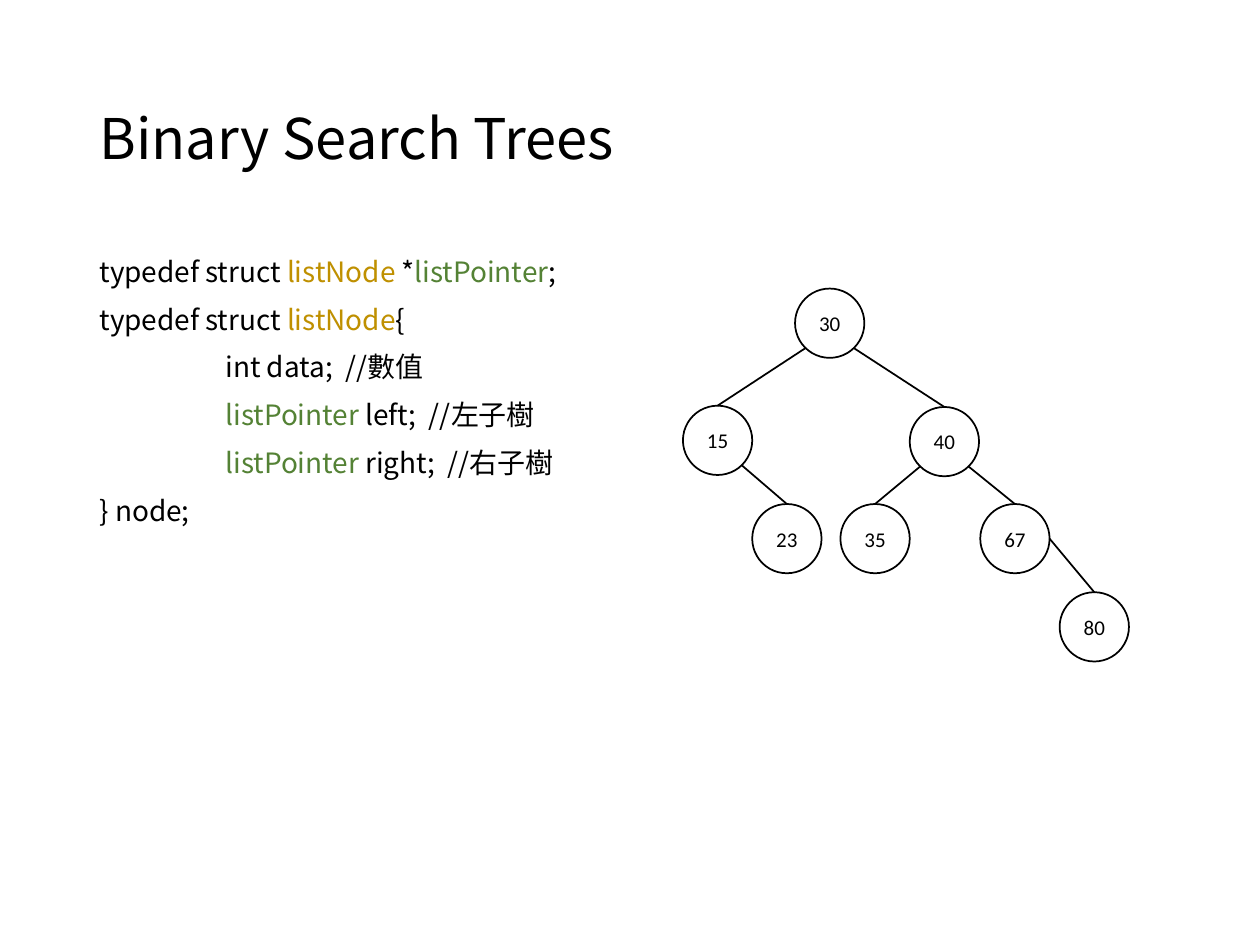
from lxml import etree
from pptx import Presentation
from pptx.dml.color import RGBColor
from pptx.enum.shapes import MSO_CONNECTOR, MSO_SHAPE
from pptx.enum.text import MSO_ANCHOR, MSO_AUTO_SIZE, PP_ALIGN
from pptx.oxml.ns import qn
from pptx.util import Inches, Pt

BLACK = RGBColor(0x00, 0x00, 0x00)
WHITE = RGBColor(0xFF, 0xFF, 0xFF)
GOLD = RGBColor(0xBF, 0x90, 0x00)
GREEN = RGBColor(0x54, 0x82, 0x35)
TEXT_FONT = "Noto Sans CJK SC"
NODE_FONT = "Calibri"

TYPE_COLORS = {"listNode": GOLD, "listPointer": GREEN}
CODE = [
    ["typedef struct ", "listNode", " *", "listPointer", ";"],
    ["typedef struct ", "listNode", "{"],
    ["\tint data;  //數值"],
    ["\t", "listPointer", " left;  //左子樹"],
    ["\t", "listPointer", " right;  //右子樹"],
    ["} node;"],
]

DIAMETER = 0.55
NODES = {
    "30": (0.89, 0),
    "40": (1.8, 0.94),
    "15": (0, 0.93),
    "23": (0.55, 1.71),
    "35": (1.25, 1.71),
    "67": (2.36, 1.71),
    "80": (2.99, 2.41),
}
LOWER_LEFT, LOWER_RIGHT, RIGHT = (0.15, 0.86), (0.85, 0.86), (1, 0.5)
TOP = (0.5, 0)
EDGES = [
    ("30", "15", LOWER_LEFT),
    ("15", "23", LOWER_RIGHT),
    ("40", "67", LOWER_RIGHT),
    ("40", "35", LOWER_LEFT),
    ("30", "40", LOWER_RIGHT),
    ("67", "80", RIGHT),
]


def place(shape, left, top, width, height):
    shape.left, shape.top = Inches(left), Inches(top)
    shape.width, shape.height = Inches(width), Inches(height)


def style_run(run, size, font, color):
    run.font.size = Pt(size)
    run.font.name = font
    run.font.color.rgb = color
    east_asian = etree.SubElement(run.font._element, qn("a:ea"))
    east_asian.set("typeface", font)


def fill_title(title, box):
    place(title, *box)
    frame = title.text_frame
    frame.text = "Binary Search Trees"
    frame.auto_size = MSO_AUTO_SIZE.NONE
    frame.vertical_anchor = MSO_ANCHOR.MIDDLE
    heading = frame.paragraphs[0]
    heading.alignment = PP_ALIGN.LEFT
    heading.line_spacing = 0.9
    style_run(heading.runs[0], 32, TEXT_FONT, BLACK)


def format_code_line(line, is_first):
    properties = line._p.get_or_add_pPr()
    properties.set("marL", "0")
    properties.set("indent", "0")
    properties.set("defTabSz", str(Inches(1)))
    etree.SubElement(properties, qn("a:buNone"))
    line.line_spacing = 0.9
    line.space_before = Pt(0 if is_first else 10)


def fill_code(body, box):
    place(body, *box)
    frame = body.text_frame
    frame.auto_size = MSO_AUTO_SIZE.NONE
    for number, tokens in enumerate(CODE):
        line = frame.add_paragraph() if number else frame.paragraphs[0]
        format_code_line(line, number == 0)
        for token in tokens:
            run = line.add_run()
            run.text = token
            style_run(run, 16, TEXT_FONT, TYPE_COLORS.get(token, BLACK))


def add_node(slide, key, left, top):
    node = slide.shapes.add_shape(
        MSO_SHAPE.OVAL, Inches(left), Inches(top), Inches(DIAMETER), Inches(DIAMETER)
    )
    node.shadow.inherit = False
    node.fill.solid()
    node.fill.fore_color.rgb = WHITE
    node.line.color.rgb = BLACK
    node.line.width = Pt(1)
    frame = node.text_frame
    frame.text = key
    frame.vertical_anchor = MSO_ANCHOR.MIDDLE
    frame.paragraphs[0].alignment = PP_ALIGN.CENTER
    style_run(frame.paragraphs[0].runs[0], 12, NODE_FONT, BLACK)


def add_edge(slide, start, end):
    edge = slide.shapes.add_connector(
        MSO_CONNECTOR.STRAIGHT, *(Inches(length) for length in (*start, *end))
    )
    edge.line.color.rgb = BLACK
    edge.line.width = Pt(1)
    etree.SubElement(edge._element.spPr, qn("a:effectLst"))


def draw_tree(slide, left, top):
    def point(key, fraction):
        x, y = NODES[key]
        return left + x + fraction[0] * DIAMETER, top + y + fraction[1] * DIAMETER

    for key, (x, y) in NODES.items():
        add_node(slide, key, left + x, top + y)
    for parent, child, exit_side in EDGES:
        add_edge(slide, point(parent, exit_side), point(child, TOP))


def main():
    deck = Presentation()
    deck.slide_width, deck.slide_height = Inches(10), Inches(7.5)
    slide = deck.slides.add_slide(deck.slide_layouts[1])
    fill_title(slide.shapes.title, (0.69, 0.4, 8.62, 1.45))
    fill_code(slide.placeholders[1], (0.69, 2, 8.62, 4.76))
    draw_tree(slide, 5.42, 2.29)
    deck.save("out.pptx")


if __name__ == "__main__":
    main()
